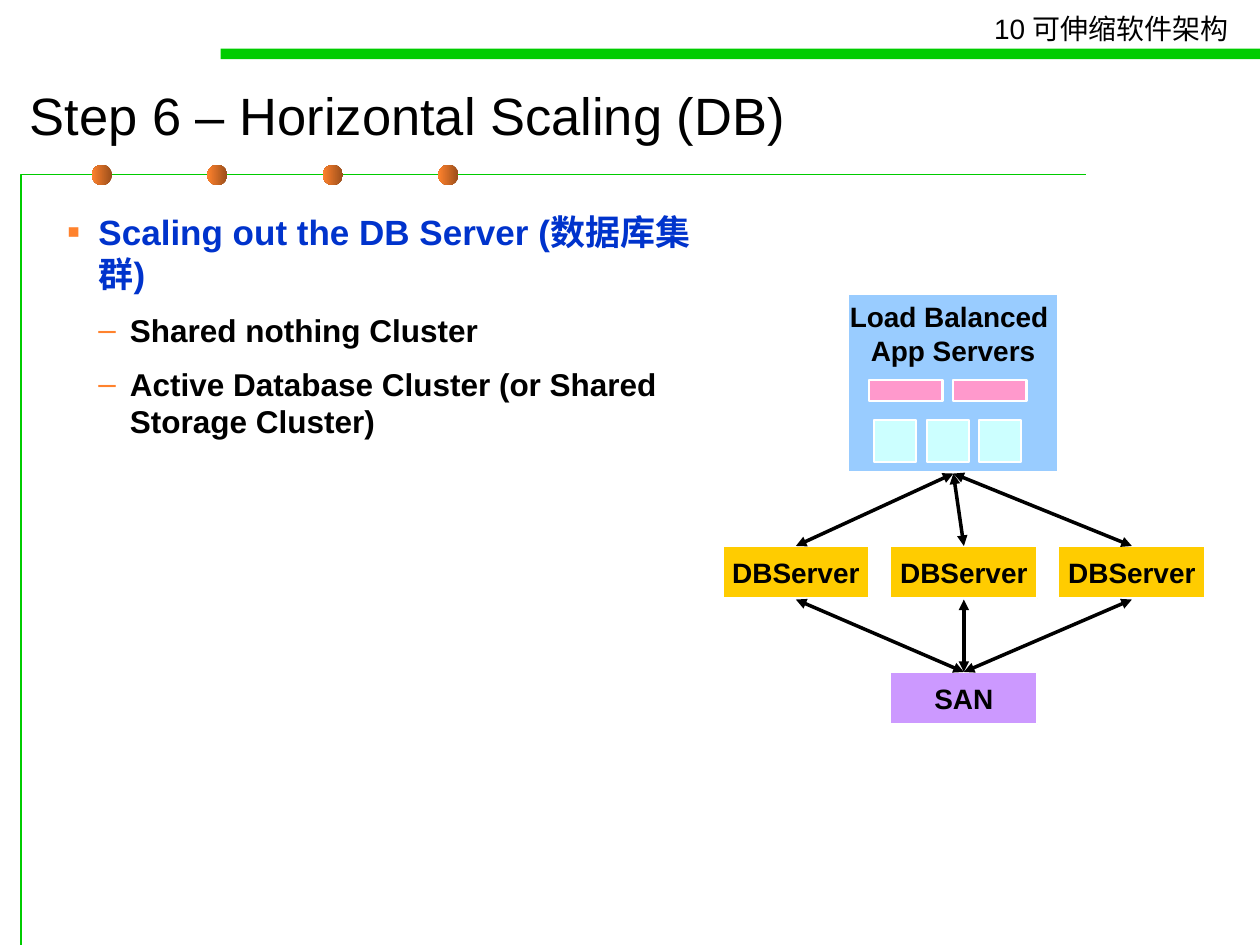
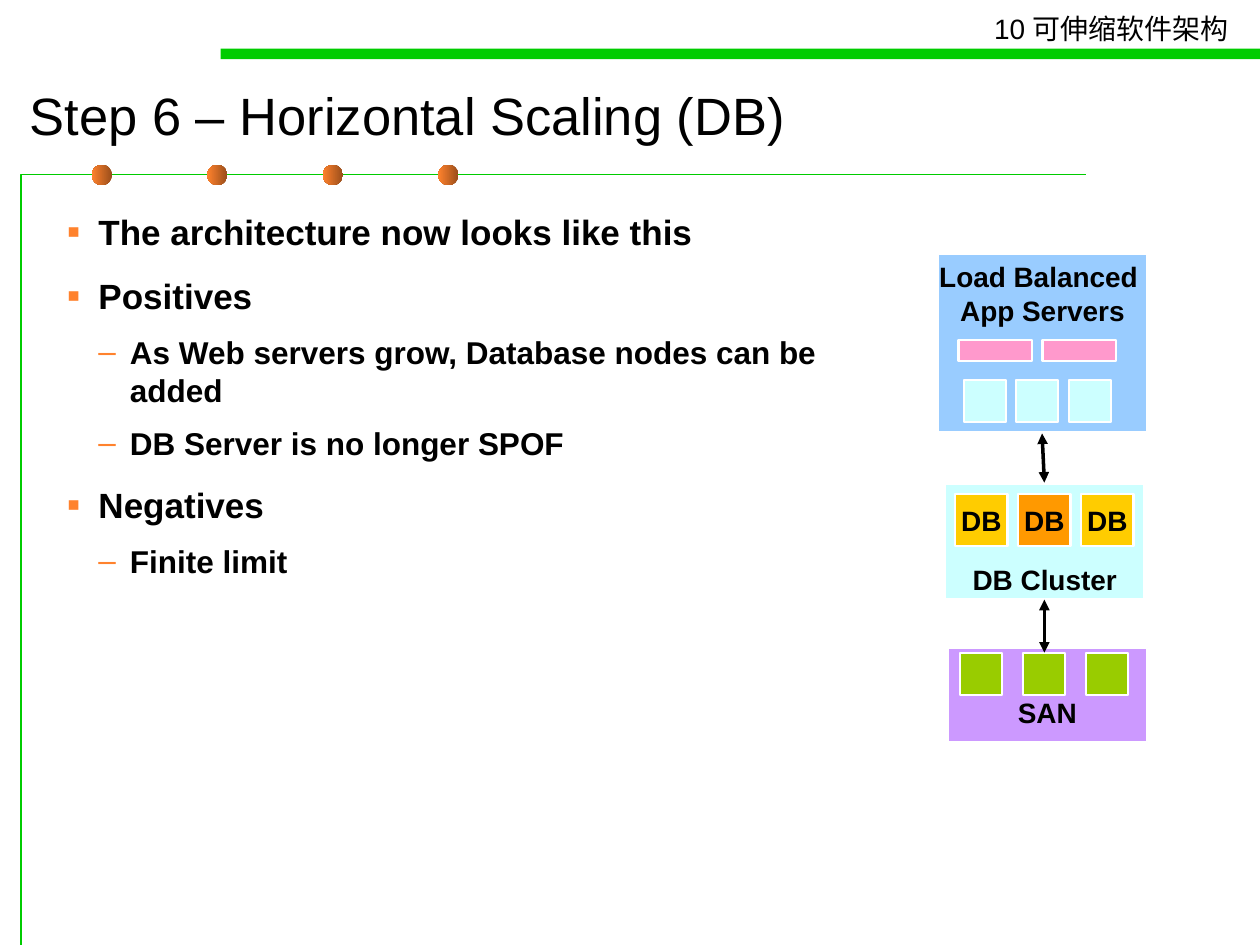
from lxml.etree import SubElement
from pptx import Presentation
from pptx.dml.color import RGBColor
from pptx.enum.shapes import MSO_CONNECTOR, MSO_SHAPE
from pptx.enum.text import MSO_ANCHOR, MSO_AUTO_SIZE, PP_ALIGN
from pptx.oxml.ns import qn
from pptx.util import Pt

BLACK = RGBColor(0, 0, 0)
WHITE = RGBColor(255, 255, 255)
GREEN = RGBColor(0, 204, 0)
BLUE = RGBColor(0, 51, 204)
ORANGE = RGBColor(255, 130, 45)
BROWN = RGBColor(154, 78, 27)
SKY = RGBColor(153, 204, 255)
PALE_CYAN = RGBColor(204, 255, 255)
PINK = RGBColor(255, 153, 204)
GOLD = RGBColor(255, 204, 0)
AMBER = RGBColor(255, 153, 0)
PURPLE = RGBColor(204, 153, 255)
LIME = RGBColor(153, 204, 0)
FONT = "Arial"

CHAPTER = "10 可伸缩软件架构"
TITLE = "Step 6 – Horizontal Scaling (DB)"
APP_SERVERS = "Load Balanced \vApp Servers"

# Each bullet: level, text, colour
SCALING_BULLETS = [
    (0, "Scaling out the DB Server (数据库集群)", BLUE),
    (1, "Shared nothing Cluster", BLACK),
    (1, "Active Database Cluster (or Shared Storage Cluster)", BLACK),
]
RESULT_BULLETS = [
    (0, "The architecture now looks like this", BLACK),
    (0, "Positives", BLACK),
    (1, "As Web servers grow, Database nodes can be added", BLACK),
    (1, "DB Server is no longer SPOF", BLACK),
    (0, "Negatives", BLACK),
    (1, "Finite limit", BLACK),
]
BULLET_STYLES = [
    {"mark": "▪", "scale": 110, "size": 20, "before": 8.8, "after": 3.7},
    {"mark": "–", "scale": 100, "size": 18, "before": 5.6, "after": 3.4},
]
BULLET_INDENT = 18
DB_SERVERS = ["DBServer"] * 3
CLUSTER_NODES = [("DB", GOLD), ("DB", AMBER), ("DB", GOLD)]


def points(*lengths):
    return [Pt(length) for length in lengths]


def set_font(font, size, color=BLACK, bold=False):
    values = {"name": FONT, "size": Pt(size), "bold": bold}
    for name, value in values.items():
        setattr(font, name, value)
    font.color.rgb = color


def set_frame(frame, **values):
    for name, value in values.items():
        setattr(frame, name, value)


def add_block(shapes, place, color, text="", anchor=MSO_ANCHOR.MIDDLE, margin=3.6):
    """Add a white-edged rectangle; margin is its top and bottom inset."""
    block = shapes.add_shape(MSO_SHAPE.RECTANGLE, *points(*place))
    block.shadow.inherit = False
    block.fill.solid()
    block.fill.fore_color.rgb = color
    block.line.color.rgb = WHITE
    block.line.width = Pt(1.25)
    if text:
        frame = block.text_frame
        set_frame(frame, word_wrap=False, vertical_anchor=anchor,
                  margin_top=Pt(margin), margin_bottom=Pt(margin))
        frame.text = text
        paragraph = frame.paragraphs[0]
        paragraph.alignment = PP_ALIGN.CENTER
        for span in paragraph.runs:
            set_font(span.font, 16, bold=True)


def add_row(shapes, left, top, width, height, pitch, items):
    """Add equally spaced blocks, one for each (text, colour) item."""
    for index, (text, color) in enumerate(items):
        add_block(shapes, (left + index * pitch, top, width, height), color, text)


def add_app_servers(page, left, top):
    shapes = page.shapes.add_group_shape().shapes
    add_block(shapes, (left, top, 120, 102), SKY, APP_SERVERS, MSO_ANCHOR.TOP, 3.2)
    add_row(shapes, left + 15, top + 72, 24, 24, 30, [("", PALE_CYAN)] * 3)
    add_row(shapes, left + 12, top + 49, 42, 12, 48, [("", PINK)] * 2)


def add_double_arrow(page, start, end):
    arrow = page.shapes.add_connector(MSO_CONNECTOR.STRAIGHT, *points(*start, *end))
    arrow.line.color.rgb = BLACK
    arrow.line.width = Pt(2)
    line = arrow.line._get_or_add_ln()
    for tag in ("a:headEnd", "a:tailEnd"):
        SubElement(line, qn(tag), type="triangle")
    SubElement(arrow._element.spPr, qn("a:effectLst"))


def add_frame(page):
    """Draw the rule, dots, band and chapter label shared by all slides."""
    builder = page.shapes.build_freeform(*points(12, 540))
    builder.add_line_segments([points(12, 99.9), points(620.8, 99.9)], close=False)
    rule = builder.convert_to_shape()
    rule.shadow.inherit = False
    rule.fill.background()
    rule.line.color.rgb = GREEN
    rule.line.width = Pt(0.75)

    for index in range(4):
        dot = page.shapes.add_shape(
            MSO_SHAPE.OVAL, *points(52.4 + 66 * index, 94.2, 11.6, 11.6))
        dot.shadow.inherit = False
        dot.line.fill.background()
        dot.fill.gradient()
        dot.fill.gradient_angle = 180
        for stop, color in zip(dot.fill.gradient_stops, (BROWN, ORANGE)):
            stop.color.rgb = color

    band = page.shapes.add_shape(MSO_SHAPE.RECTANGLE, *points(126, 27.8, 594, 6))
    band.shadow.inherit = False
    band.fill.solid()
    band.fill.fore_color.rgb = GREEN
    band.line.fill.background()

    label = page.shapes.add_textbox(*points(561, 3, 152, 26.6)).text_frame
    label.word_wrap = False
    label.text = CHAPTER
    set_font(label.paragraphs[0].runs[0].font, 16)


def add_title(page):
    title = page.shapes.title
    places = zip(("left", "top", "width", "height"), points(9.8, 40, 669, 51))
    for name, value in places:
        setattr(title, name, value)
    frame = title.text_frame
    frame.text = TITLE
    set_frame(frame, auto_size=MSO_AUTO_SIZE.NONE, word_wrap=True,
              vertical_anchor=MSO_ANCHOR.MIDDLE)
    paragraph = frame.paragraphs[0]
    paragraph.alignment = PP_ALIGN.LEFT
    set_font(paragraph.runs[0].font, 30)


def add_bullets(page, width, bullets):
    frame = page.shapes.add_textbox(*points(31.2, 116.8, width, 402.5)).text_frame
    frame.word_wrap = True
    for index, (level, text, color) in enumerate(bullets):
        style = BULLET_STYLES[level]
        paragraph = frame.add_paragraph() if index else frame.paragraphs[0]
        paragraph.level = level
        properties = paragraph._p.get_or_add_pPr()
        properties.set("marL", str(Pt(BULLET_INDENT * (level + 1))))
        properties.set("indent", str(-Pt(BULLET_INDENT)))
        mark_color = SubElement(properties, qn("a:buClr"))
        SubElement(mark_color, qn("a:srgbClr"), val=str(ORANGE))
        SubElement(properties, qn("a:buSzPct"), val=str(style["scale"] * 1000))
        SubElement(properties, qn("a:buFont"), typeface=FONT)
        SubElement(properties, qn("a:buChar"), char=style["mark"])
        paragraph.space_before = Pt(style["before"] if index else 0)
        paragraph.space_after = Pt(style["after"])
        span = paragraph.add_run()
        span.text = text
        set_font(span.font, style["size"], color, bold=True)


def add_page(deck, body_width, bullets):
    page = deck.slides.add_slide(deck.slide_layouts[5])
    add_frame(page)
    add_title(page)
    add_bullets(page, body_width, bullets)
    return page


def draw_scaled_out_servers(page):
    left, top, width, height, pitch = 412.8, 312, 84, 30, 96
    san_top = 384
    add_row(page.shapes, left, top, width, height, pitch,
            [(name, GOLD) for name in DB_SERVERS])
    add_app_servers(page, 484.6, 168)
    add_block(page.shapes, (left + pitch, san_top, width, height), PURPLE, "SAN")
    centers = [left + width / 2 + pitch * index for index in range(len(DB_SERVERS))]
    for center in centers:
        add_double_arrow(page, (544.8, 270.6), (center, top))
    for center in centers:
        add_double_arrow(page, (center, top + height + 0.6), (centers[1], san_top))


def draw_cluster(page):
    add_app_servers(page, 535.7, 145.2)

    cluster = page.shapes.add_group_shape().shapes
    add_block(cluster, (540, 276.5, 114, 66), PALE_CYAN, "DB Cluster",
              MSO_ANCHOR.BOTTOM, 2.1)
    add_row(cluster, 545.8, 282.2, 30, 30, 36, CLUSTER_NODES)

    storage = page.shapes.add_group_shape().shapes
    add_block(storage, (541.5, 370.2, 114, 54), PURPLE, "SAN", MSO_ANCHOR.BOTTOM, 7.4)
    add_row(storage, 548.4, 373, 24, 24, 36, [("", LIME)] * 3)

    add_double_arrow(page, (595.5, 247.7), (596.8, 275.8))
    add_double_arrow(page, (596.8, 342.7), (596.8, 373))


def main():
    deck = Presentation()
    deck.slide_width, deck.slide_height = points(720, 540)
    draw_scaled_out_servers(add_page(deck, 374.4, SCALING_BULLETS))
    draw_cluster(add_page(deck, 465, RESULT_BULLETS))
    deck.save("out.pptx")


if __name__ == "__main__":
    main()
